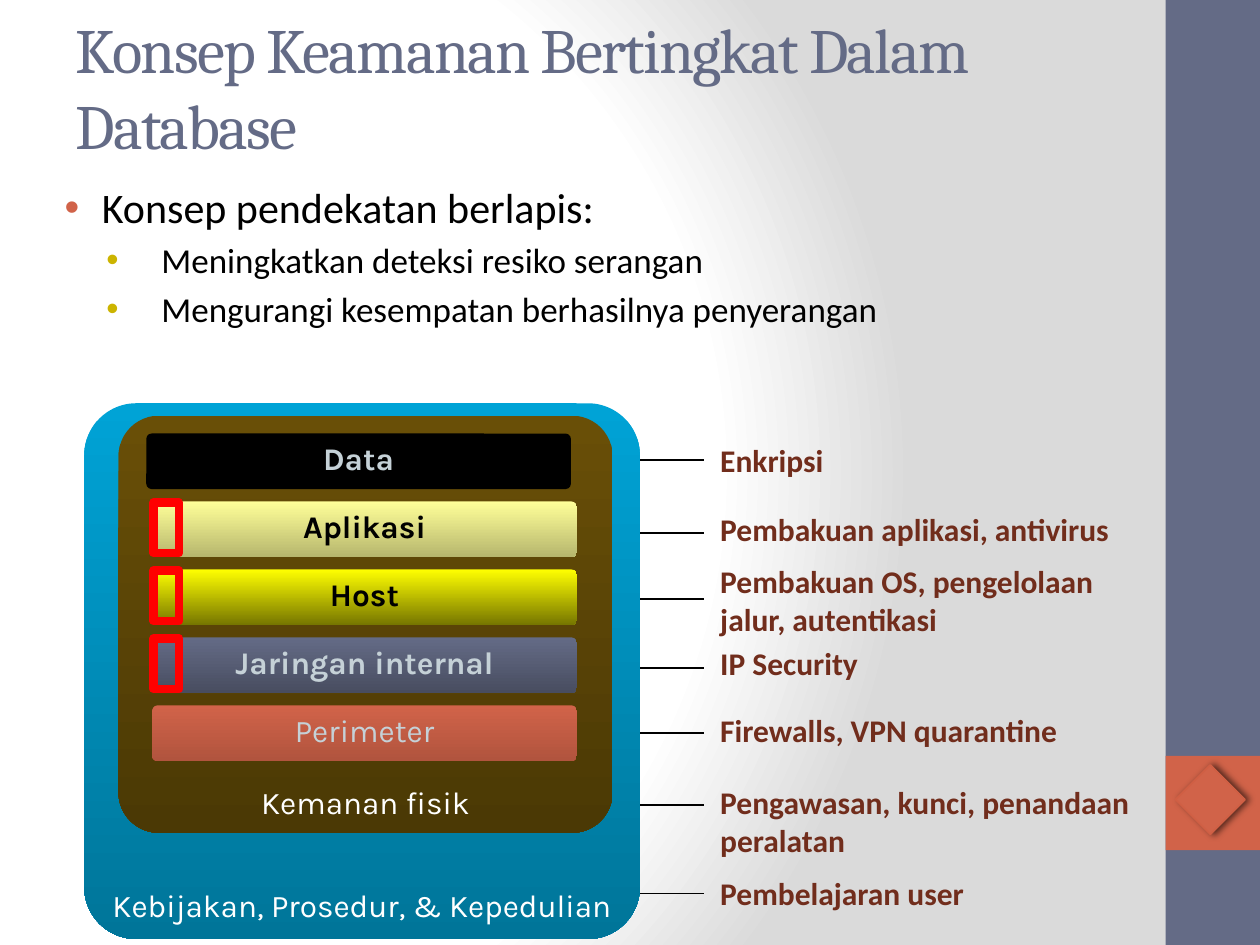
from lxml import etree
from pptx import Presentation
from pptx.dml.color import RGBColor
from pptx.enum.shapes import MSO_CONNECTOR, MSO_SHAPE
from pptx.enum.text import MSO_ANCHOR, MSO_AUTO_SIZE, PP_ALIGN
from pptx.oxml import parse_xml
from pptx.oxml.ns import nsdecls, qn
from pptx.util import Cm, Pt

RECTANGLE, ROUNDED, DIAMOND = MSO_SHAPE.RECTANGLE, MSO_SHAPE.ROUNDED_RECTANGLE, MSO_SHAPE.DIAMOND
STRAIGHT = MSO_CONNECTOR.STRAIGHT
MIDDLE, BOTTOM = MSO_ANCHOR.MIDDLE, MSO_ANCHOR.BOTTOM
LEFT, CENTER = PP_ALIGN.LEFT, PP_ALIGN.CENTER
GROW = MSO_AUTO_SIZE.SHAPE_TO_FIT_TEXT
NO_AUTOFIT = MSO_AUTO_SIZE.NONE

BLACK = RGBColor(0x00, 0x00, 0x00)
WHITE = RGBColor(0xFF, 0xFF, 0xFF)
GREY = RGBColor(0xDA, 0xDA, 0xDA)
SLATE = RGBColor(0x64, 0x6B, 0x86)
SLATE_DARK = RGBColor(0x48, 0x4D, 0x60)
CORAL = RGBColor(0xD1, 0x63, 0x49)
CORAL_DARK = RGBColor(0xB1, 0x54, 0x3E)
CORAL_LINE = RGBColor(0xD0, 0x5F, 0x44)
OLIVE = RGBColor(0xCC, 0xB4, 0x00)
MAROON = RGBColor(0x71, 0x2D, 0x1C)
PALE = RGBColor(0xC5, 0xD1, 0xD7)
BLUE = RGBColor(0x00, 0xA3, 0xD6)
BLUE_DARK = RGBColor(0x00, 0x75, 0x99)
BROWN = RGBColor(0x69, 0x4F, 0x07)
BROWN_DARK = RGBColor(0x4B, 0x39, 0x05)
YELLOW = RGBColor(0xFF, 0xFF, 0x00)
YELLOW_DARK = RGBColor(0x76, 0x76, 0x00)
CREAM = RGBColor(0xFF, 0xFF, 0x99)
CREAM_DARK = RGBColor(0xB6, 0xB6, 0x6D)
RED = RGBColor(0xFF, 0x00, 0x00)

TITLE = "Konsep Keamanan Bertingkat Dalam Database"
BODY = [
    ("Konsep pendekatan berlapis:", 0),
    ("Meningkatkan deteksi resiko serangan", 1),
    ("Mengurangi kesempatan berhasilnya penyerangan", 1),
]
LEVELS = [
    {"size": 24, "margin": 1.5, "indent": -0.75, "bullet": CORAL},
    {"size": 20, "margin": 2.7, "indent": -1.11, "bullet": OLIVE},
]
# text, top, width, height, line height on slide
MEASURES = [
    ("Enkripsi", 8.76, 5.77, 1.03, 9.27),
    ("Pembakuan aplikasi, antivirus", 10.16, 8.64, 1.03, 10.74),
    ("Pembakuan OS, pengelolaan jalur, autentikasi", 11.2, 8.94, 1.8, 12.07),
    ("IP Security", 12.85, 5.56, 1.03, 13.46),
    ("Firewalls, VPN quarantine", 14.2, 8.94, 1.03, 14.78),
    ("Pengawasan, kunci, penandaan peralatan", 15.67, 8.94, 1.8, 16.23),
    ("Pembelajaran user", 17.5, 6.91, 1.03, 18.01),
]
ENCLOSURES = [
    ("Kebijakan, Prosedur, & Kepedulian", (1.7, 8.13, 11.2, 10.8), (BLUE, BLUE_DARK)),
    ("Kemanan fisik", (2.39, 8.38, 9.96, 8.41), (BROWN, BROWN_DARK)),
]
BARS = [
    ("Data", 2.95, (BLACK,), PALE, True),
    ("Aplikasi", 3.07, (CREAM, CREAM_DARK), BLACK, True),
    ("Host", 3.07, (YELLOW, YELLOW_DARK), BLACK, True),
    ("Jaringan internal", 3.07, (SLATE, SLATE_DARK), PALE, True),
    ("Perimeter", 3.07, (CORAL, CORAL_DARK), PALE, False),
]
BAR_TOP, BAR_PITCH, BAR_WIDTH, BAR_HEIGHT = 8.74, 1.37, 8.56, 1.12
MARKED_BARS = (1, 2, 3)
LABEL_LEFT, LINE_START, LINE_END = 14.27, 11.53, 14.2


def set_values(target, **values):
    for name, value in values.items():
        setattr(target, name, value)


def write(paragraph, text, font, size, color, bold=False):
    run = paragraph.add_run()
    run.text = text
    set_values(run.font, name=font, size=Pt(size), bold=bold)
    run.font.color.rgb = color
    return run


def place(shape, *box):
    set_values(shape, **dict(zip(("left", "top", "width", "height"), map(Cm, box))))


def add_block(shapes, kind, box, colors=(), line=None, line_width=1):
    shape = shapes.add_shape(kind, *map(Cm, box))
    shape.shadow.inherit = False
    if len(colors) == 2:
        shape.fill.gradient()
        shape.fill.gradient_angle = 270
        for stop, color in zip(shape.fill.gradient_stops, colors):
            stop.color.rgb = color
            stop.position = colors.index(color)
    elif colors:
        shape.fill.solid()
        shape.fill.fore_color.rgb = colors[0]
    else:
        shape.fill.background()
    if line is None:
        shape.line.fill.background()
    else:
        shape.line.color.rgb = line
        shape.line.width = Pt(line_width)
    return shape


def add_layer(shapes, text, box, colors, color, bold, anchor):
    shape = add_block(shapes, ROUNDED, box, colors)
    shape.adjustments[0] = 0.097
    set_values(shape.text_frame, margin_top=0, margin_bottom=0,
               vertical_anchor=anchor, word_wrap=True)
    paragraph = shape.text_frame.paragraphs[0]
    set_values(paragraph, alignment=CENTER, line_spacing=0.85)
    write(paragraph, text, "Karla", 18, color, bold)


def paint_background(slide):
    slide.background.fill.gradient()
    gradient = slide.element.find(".//" + qn("a:gradFill"))
    stops = "".join(
        f'<a:gs pos="{position * 1000}"><a:srgbClr val="{color}"/></a:gs>'
        for position, color in ((0, WHITE), (75, WHITE), (100, GREY)))
    gradient.getparent().replace(gradient, parse_xml(
        f'<a:gradFill {nsdecls("a")} rotWithShape="1"><a:gsLst>{stops}</a:gsLst>'
        '<a:path path="circle"><a:fillToRect l="20000" t="50000" r="100000" b="50000"/>'
        '</a:path></a:gradFill>'))


def fill_placeholders(slide):
    title, body = slide.shapes.title, slide.placeholders[1]
    place(title, 1.27, 0.15, 21.16, 3.18)
    set_values(title.text_frame, vertical_anchor=MIDDLE, auto_size=NO_AUTOFIT)
    paragraph = title.text_frame.paragraphs[0]
    paragraph.alignment = LEFT
    run = write(paragraph, TITLE, "Cambria", 36, SLATE)
    run.font._element.set("spc", "-100")

    place(body, 0.3, 3.53, 24.77, 4.62)
    frame = body.text_frame
    frame.auto_size = NO_AUTOFIT
    for index, (text, level) in enumerate(BODY):
        paragraph = frame.add_paragraph() if index else frame.paragraphs[0]
        style = LEVELS[level]
        paragraph.level = level
        write(paragraph, text, "Calibri", style["size"], BLACK)
        properties = paragraph._p.get_or_add_pPr()
        properties.set("marL", str(Cm(style["margin"])))
        properties.set("indent", str(Cm(style["indent"])))
        properties.append(parse_xml(
            f'<a:buClr {nsdecls("a")}><a:srgbClr val="{style["bullet"]}"/></a:buClr>'))
        properties.append(parse_xml(f'<a:buFont {nsdecls("a")} typeface="Arial"/>'))
        properties.append(parse_xml(f'<a:buChar {nsdecls("a")} char="•"/>'))


def add_measures(slide):
    shapes = slide.shapes.add_group_shape().shapes
    for text, top, width, height, line_top in MEASURES:
        box = shapes.add_textbox(*map(Cm, (LABEL_LEFT, top, width, height)))
        set_values(box.text_frame, word_wrap=True, auto_size=GROW)
        write(box.text_frame.paragraphs[0], text, "Calibri", 18, MAROON, True)
        line = shapes.add_connector(
            STRAIGHT, *map(Cm, (LINE_START, line_top, LINE_END, line_top)))
        line.line.color.rgb = BLACK
        line.line.width = Pt(1)
        etree.SubElement(line._element.spPr, qn("a:effectLst"))


def add_layers(slide):
    shapes = slide.shapes.add_group_shape().shapes
    for text, box, colors in ENCLOSURES:
        add_layer(shapes, text, box, colors, WHITE, False, BOTTOM)
    for index, (text, left, colors, color, bold) in enumerate(BARS):
        box = (left, BAR_TOP + index * BAR_PITCH, BAR_WIDTH, BAR_HEIGHT)
        add_layer(shapes, text, box, colors, color, bold, MIDDLE)
    for index in MARKED_BARS:
        box = (3.1, BAR_TOP + index * BAR_PITCH + 0.02, 0.51, 1.02)
        add_block(shapes, RECTANGLE, box, line=RED, line_width=5)


def add_diamond(slide):
    diamond = add_block(slide.shapes, DIAMOND, (23.7, 15.42, 1.4, 1.4), (CORAL,), CORAL_LINE)
    effects = diamond._element.spPr.find(qn("a:effectLst"))
    effects.append(parse_xml(
        f'<a:outerShdw {nsdecls("a")} blurRad="{Pt(4)}" dist="{Pt(2)}" dir="0">'
        f'<a:srgbClr val="{BLACK}"><a:alpha val="60000"/></a:srgbClr></a:outerShdw>'))


def main():
    presentation = Presentation()
    set_values(presentation, slide_width=Cm(25.4), slide_height=Cm(19.05))
    slide = presentation.slides.add_slide(presentation.slide_layouts[1])
    paint_background(slide)
    add_block(slide.shapes, RECTANGLE, (23.5, 0, 1.9, 19.05), (SLATE,))
    add_block(slide.shapes, RECTANGLE, (23.5, 15.24, 1.9, 1.9), (CORAL,))
    fill_placeholders(slide)
    add_measures(slide)
    add_layers(slide)
    add_diamond(slide)
    presentation.save("out.pptx")


if __name__ == "__main__":
    main()
